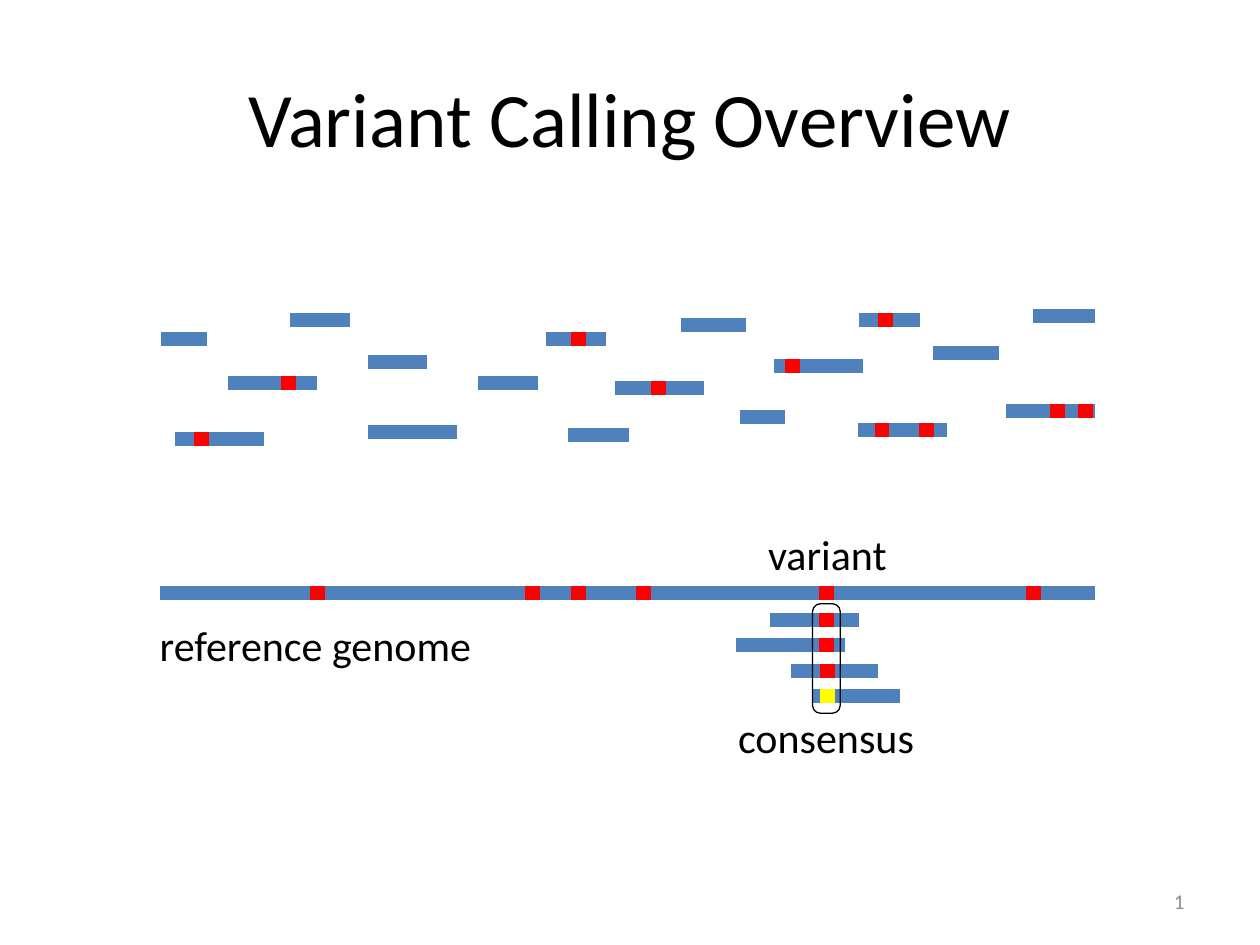
"""Build the variant calling overview slide."""
from dataclasses import dataclass

import pptx
import pptx.dml.color
import pptx.enum.shapes
import pptx.enum.text
import pptx.oxml
import pptx.oxml.ns
import pptx.slide
import pptx.util

Cm = pptx.util.Cm
Pt = pptx.util.Pt
RGB = pptx.dml.color.RGBColor
Align = pptx.enum.text.PP_ALIGN
Anchor = pptx.enum.text.MSO_ANCHOR


@dataclass(frozen=True)
class Theme:
    font: str = "Calibri"
    ink: RGB = RGB(0, 0, 0)
    muted: RGB = RGB(0x8C, 0x8C, 0x8C)
    read: RGB = RGB(0x4F, 0x81, 0xBD)
    variant: RGB = RGB(0xFF, 0, 0)
    mismatch: RGB = RGB(0xFF, 0xFF, 0)
    title_size: int = 44
    label_size: int = 24
    number_size: int = 12
    bar_width: int = 8
    outline_width: float = 0.75


@dataclass(frozen=True)
class Read:
    start: float
    end: float
    y: float
    marks: tuple[float, ...] = ()
    mark_color: RGB = Theme.variant


@dataclass(frozen=True)
class Label:
    text: str
    left: float
    top: float
    width: float
    height: float
    size: int = Theme.label_size
    color: RGB = Theme.ink
    align: Align = Align.LEFT
    anchor: Anchor = Anchor.TOP
    wrap: bool = True


THEME = Theme()
MARK_LENGTH = 0.3
STACK_TOP, STACK_STEP = 12.5, 0.51

SCATTERED = [
    Read(4.6, 6.4, 7.72, (5.66,)),
    Read(7.42, 8.61, 7.29),
    Read(11, 12.22, 6.83, (11.51,)),
    Read(9.63, 10.85, 7.72),
    Read(12.4, 14.2, 7.82, (13.13,)),
    Read(13.72, 15.04, 6.55),
    Read(15.6, 17.4, 7.37, (15.82,)),
    Read(20.83, 22.07, 6.38),
    Read(20.27, 22.07, 8.28, (21.16, 21.74)),
    Read(3.25, 4.17, 6.83),
    Read(17.3, 19.1, 8.66, (17.63, 18.52)),
    Read(18.8, 20.14, 7.11),
    Read(3.53, 5.33, 8.84, (3.91,)),
    Read(5.84, 7.06, 6.45),
    Read(7.42, 9.22, 8.71),
    Read(11.46, 12.67, 8.76),
    Read(17.32, 18.54, 6.45, (17.7,)),
    Read(14.91, 15.82, 8.41),
]
REFERENCE = Read(3.23, 22.07, 11.96, (6.25, 10.59, 11.51, 12.83, 16.51, 20.68))
STACK = [
    (15.52, 17.32, 16.51, THEME.variant),
    (14.83, 17.04, 16.51, THEME.variant),
    (15.95, 17.7, 16.54, THEME.variant),
    (16.38, 18.14, 16.54, THEME.mismatch),
]
ALIGNED = [
    Read(start, end, STACK_TOP + i * STACK_STEP, (mark,), color)
    for i, (start, end, mark, color) in enumerate(STACK)
]
LABELS = [
    Label("Variant Calling Overview", 1.27, 0.76, 22.86, 3.18, THEME.title_size,
          align=Align.CENTER, anchor=Anchor.MIDDLE),
    Label("consensus", 14.63, 14.22, 4.09, 1.28, wrap=False),
    Label("reference genome", 2.97, 12.37, 6.86, 1.28, wrap=False),
    Label("variant", 13.72, 10.52, 5.92, 1.28, align=Align.CENTER),
    Label("1", 18.21, 17.65, 5.92, 1.02, THEME.number_size, THEME.muted,
          Align.RIGHT, Anchor.MIDDLE),
]


def add_bar(s: pptx.slide.Slide, start: float, end: float, y: float, color: RGB) -> None:
    sp = s.shapes.add_connector(
        pptx.enum.shapes.MSO_CONNECTOR.STRAIGHT, Cm(start), Cm(y), Cm(end), Cm(y))
    sp.line.color.rgb = color
    sp.line.width = Pt(THEME.bar_width)
    sp._element.spPr.append(pptx.oxml.parse_xml(
        f"<a:effectLst {pptx.oxml.ns.nsdecls('a')}/>"))


def add_read(s: pptx.slide.Slide, read: Read) -> None:
    add_bar(s, read.start, read.end, read.y, THEME.read)
    for x in read.marks:
        add_bar(s, x, x + MARK_LENGTH, read.y, read.mark_color)


def add_consensus_frame(s: pptx.slide.Slide) -> None:
    sp = s.shapes.add_shape(
        pptx.enum.shapes.MSO_SHAPE.ROUNDED_RECTANGLE,
        Cm(16.38), Cm(12.17), Cm(0.56), Cm(2.21))
    sp.adjustments[0] = 0.29
    sp.shadow.inherit = False
    sp.fill.background()
    sp.line.color.rgb = THEME.ink
    sp.line.width = Pt(THEME.outline_width)


def add_label(s: pptx.slide.Slide, label: Label) -> None:
    sp = s.shapes.add_textbox(
        Cm(label.left), Cm(label.top), Cm(label.width), Cm(label.height))
    tf = sp.text_frame
    tf.word_wrap = label.wrap
    tf.vertical_anchor = label.anchor
    p = tf.paragraphs[0]
    p.text = label.text
    p.alignment = label.align
    p.font.name = THEME.font
    p.font.size = Pt(label.size)
    p.font.color.rgb = label.color


def main() -> None:
    prs = pptx.Presentation()
    prs.slide_width, prs.slide_height = Cm(25.4), Cm(19.05)
    s = prs.slides.add_slide(prs.slide_layouts[6])
    for read in [*SCATTERED, REFERENCE, *ALIGNED]:
        add_read(s, read)
    add_consensus_frame(s)
    for label in LABELS:
        add_label(s, label)
    prs.save("out.pptx")


main()
